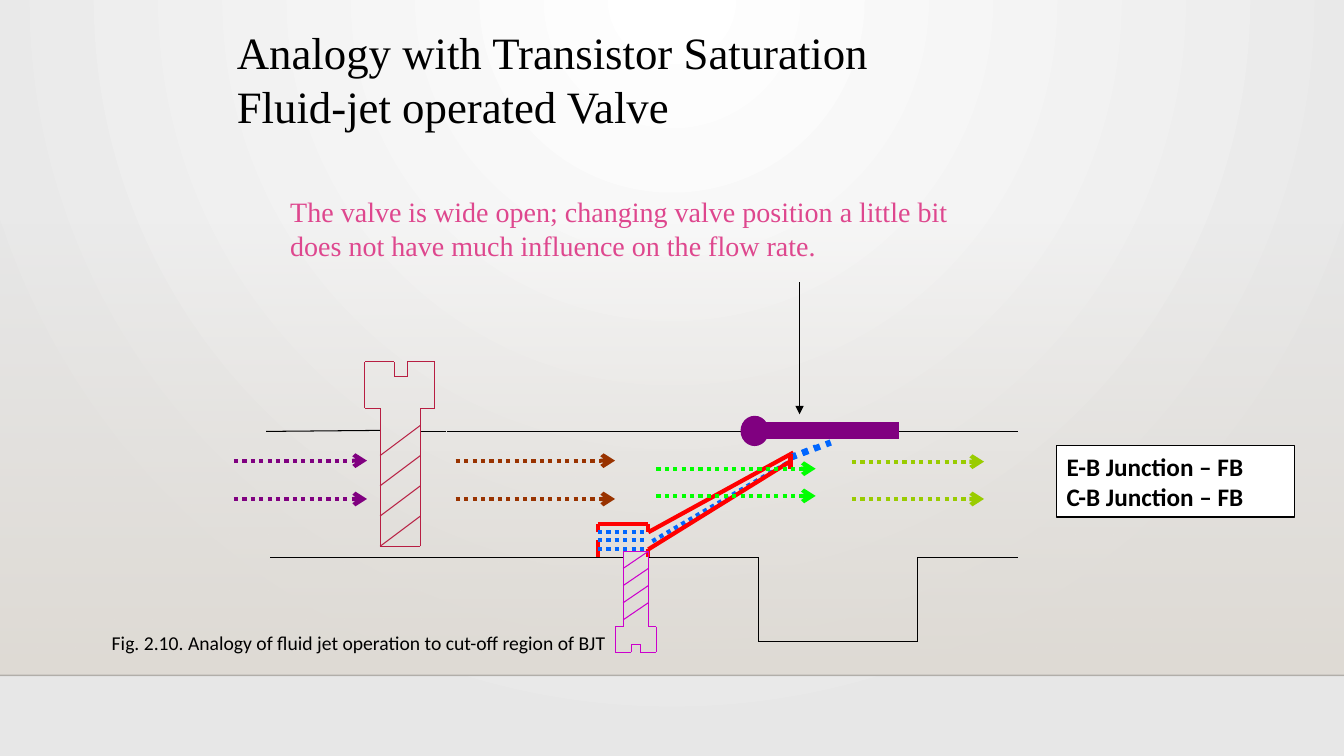
"""Builds the slide on the transistor saturation analogy with a fluid-jet valve."""
from itertools import pairwise

from lxml import etree
from pptx import Presentation
from pptx.dml.color import RGBColor
from pptx.enum.dml import MSO_LINE
from pptx.enum.shapes import MSO_CONNECTOR, MSO_SHAPE
from pptx.oxml.ns import qn
from pptx.util import Inches, Pt

COLORS = {
    "black": "000000", "white": "FFFFFF", "edge": "E7E7E7", "band": "DFDBD5",
    "rule": "000001", "red": "FF0000", "blue": "0066FF", "crimson": "B71E42",
    "magenta": "CC00CC", "purple": "800080", "brown": "993300",
    "olive": "99CC00", "green": "00FF00", "pink": "DE478E",
}


def rgb(name):
    return RGBColor.from_string(COLORS[name])


def set_alpha(color_element, percent):
    etree.SubElement(color_element, qn("a:alpha"), val=str(percent * 1000))


def write_text(shape, lines, font="Calibri", size=18, color="black", bold=False, indent=0, wrap=True):
    frame = shape.text_frame
    frame.word_wrap = wrap
    frame.text = "\n".join(lines)
    for paragraph in frame.paragraphs:
        if indent:
            paragraph._p.get_or_add_pPr().set("marL", str(Inches(indent)))
        paragraph.font.name = font
        paragraph.font.size = Pt(size)
        paragraph.font.bold = bold
        paragraph.font.color.rgb = rgb(color)


class ValveSlide:
    def __init__(self, slide):
        self.slide = slide
        self.shapes = slide.shapes

    def background(self):
        fill = self.slide.background.fill
        fill.gradient()
        for stop, color in zip(fill.gradient_stops, ("white", "edge")):
            stop.color.rgb = rgb(color)
        linear = next(self.slide.element.iter(qn("a:lin")))
        circle = etree.Element(qn("a:path"), path="circle")
        etree.SubElement(circle, qn("a:fillToRect"), l="43000", t="0", r="43000", b="100000")
        linear.getparent().replace(linear, circle)

    def shape(self, kind, left, top, width, height, fill, line=None, line_width=0.75):
        shape = self.shapes.add_shape(kind, Inches(left), Inches(top), Inches(width), Inches(height))
        shape.shadow.inherit = False
        shape.fill.solid()
        shape.fill.fore_color.rgb = rgb(fill)
        if line:
            shape.line.color.rgb = rgb(line)
            shape.line.width = Pt(line_width)
        else:
            shape.line.fill.background()
        return shape

    def fading_band(self, top, height):
        band = self.shape(MSO_SHAPE.RECTANGLE, 0, top, 13.33, height, "band")
        band.fill.gradient()
        band.fill.gradient_angle = 270
        for stop in band.fill.gradient_stops:
            stop.color.rgb = rgb("band")
        set_alpha(next(band.element.iter(qn("a:srgbClr"))), 0)

    def line(self, start, end, color="black", width=0.75, dotted=False, arrow=None, alpha=None, shapes=None):
        connector = (shapes or self.shapes).add_connector(
            MSO_CONNECTOR.STRAIGHT, *(Inches(value) for value in (*start, *end)))
        connector.line.color.rgb = rgb(color)
        connector.line.width = Pt(width)
        if dotted:
            connector.line.dash_style = MSO_LINE.ROUND_DOT
        properties = connector.element.spPr
        if arrow:
            etree.SubElement(properties.find(qn("a:ln")), qn("a:tailEnd"), type=arrow)
        if alpha:
            set_alpha(next(properties.iter(qn("a:srgbClr"))), alpha)
        etree.SubElement(properties, qn("a:effectLst"))

    def polyline(self, points, **style):
        for start, end in pairwise(points):
            self.line(start, end, **style)

    def screw(self, body, head, slot, tip, neck, end, slot_floor, pitch, rising, color):
        group = self.shapes.add_group_shape().shapes
        left, right = body
        outline = [
            (left, tip), (left, neck), (head[0], neck), (head[0], end),
            (slot[0], end), (slot[0], slot_floor), (slot[1], slot_floor), (slot[1], end),
            (head[1], end), (head[1], neck), (right, neck), (right, tip), (left, tip),
        ]
        self.polyline(outline, color=color, shapes=group)
        near, far = (left, right) if rising else (right, left)
        for turn in range(4):
            start = tip + turn * pitch
            self.line((near, start), (far, start + pitch), color=color, shapes=group)

    def flow(self, left, right, heights, color):
        for height in heights:
            self.line((left, height), (right, height), color, 3, dotted=True, arrow="arrow")

    def text(self, left, top, width, height, lines, **style):
        box = self.shapes.add_textbox(Inches(left), Inches(top), Inches(width), Inches(height))
        write_text(box, lines, **style)


def draw_pipe(page):
    page.line((6.35, 4.28), (10.1, 4.28))
    page.line((4.43, 4.28), (6.52, 4.28))
    page.line((4.42, 4.28), (4.17, 4.28))
    page.line((2.64, 4.28), (3.77, 4.27))
    page.line((4.52, 5.53), (2.68, 5.53))
    page.line((4.52, 5.53), (6.18, 5.53))
    page.polyline([(6.43, 5.53), (7.52, 5.53), (7.52, 6.36), (9.1, 6.36), (9.1, 5.53), (10.1, 5.53)])


def draw_nozzle(page):
    red = {"color": "red", "width": 3}
    page.polyline([(5.93, 5.28), (5.93, 5.2), (6.43, 5.2), (6.43, 5.28), (7.87, 4.49)], **red)
    page.line((5.93, 5.36), (5.93, 5.53), **red)
    for end in ((8.09, 4.44), (8.24, 4.39)):
        page.line((7.84, 4.54), end, "blue", 4.5, dotted=True)
    for height in (5.28, 5.36, 5.45):
        page.line((5.93, height), (6.43, height), "blue", 3, dotted=True)
    page.line((6.47, 5.37), (7.83, 4.58), "blue", 3, dotted=True)
    page.line((7.84, 4.5), (7.84, 4.65), **red)
    page.line((6.43, 5.45), (6.43, 5.53), **red)


def main():
    presentation = Presentation()
    presentation.slide_width = Inches(13.33)
    presentation.slide_height = Inches(7.5)
    page = ValveSlide(presentation.slides.add_slide(presentation.slide_layouts[6]))

    page.background()
    page.fading_band(2.21, 4.49)
    page.line((0, 6.7), (13.33, 6.7), "rule", 1, alpha=20)

    draw_pipe(page)
    page.screw(body=(3.77, 4.17), head=(3.62, 4.31), slot=(3.91, 4.04), tip=5.42, neck=4.05,
               end=3.59, slot_floor=3.74, pitch=-0.3, rising=True, color="crimson")
    draw_nozzle(page)
    page.screw(body=(6.18, 6.43), head=(6.1, 6.51), slot=(6.26, 6.35), tip=5.47, neck=6.22,
               end=6.47, slot_floor=6.39, pitch=0.17, rising=False, color="magenta")

    page.flow(4.52, 6.1, (4.57, 4.95), "brown")
    page.flow(2.32, 3.64, (4.57, 4.95), "purple")
    page.flow(8.45, 9.76, (4.58, 4.95), "olive")
    page.shape(MSO_SHAPE.OVAL, 7.35, 4.13, 0.27, 0.29, "purple", line="purple")
    page.line((7.52, 4.27), (8.92, 4.27), "purple", 12.5)
    page.line((6.43, 5.45), (7.85, 4.57), "red", 3)
    page.text(2.25, 0.2, 8.58, 1.18,
              ["Analogy with Transistor Saturation", "Fluid-jet operated Valve"],
              font="Times New Roman", size=32)
    page.flow(6.51, 8.09, (4.65, 4.92), "green")
    page.text(2.71, 1.88, 8.61, 0.79,
              ["The valve is wide open; changing valve position a little bit",
               "does not have much influence on the flow rate."],
              font="Times New Roman", size=20, color="pink", indent=0.07)
    page.line((7.93, 2.8), (7.93, 4.11), arrow="triangle")

    junctions = page.shape(MSO_SHAPE.RECTANGLE, 10.48, 4.42, 2.36, 0.71, "white", line="black", line_width=1)
    write_text(junctions, ["E-B Junction – FB", "C-B Junction – FB"], bold=True, wrap=True)
    for paragraph in junctions.text_frame.paragraphs:
        paragraph._p.get_or_add_pPr().set("algn", "l")
    page.text(1.01, 6.21, 6.19, 0.34,
              ["Fig. 2.10. Analogy of fluid jet operation to cut-off region of BJT"], size=14)

    presentation.save("out.pptx")


if __name__ == "__main__":
    main()
